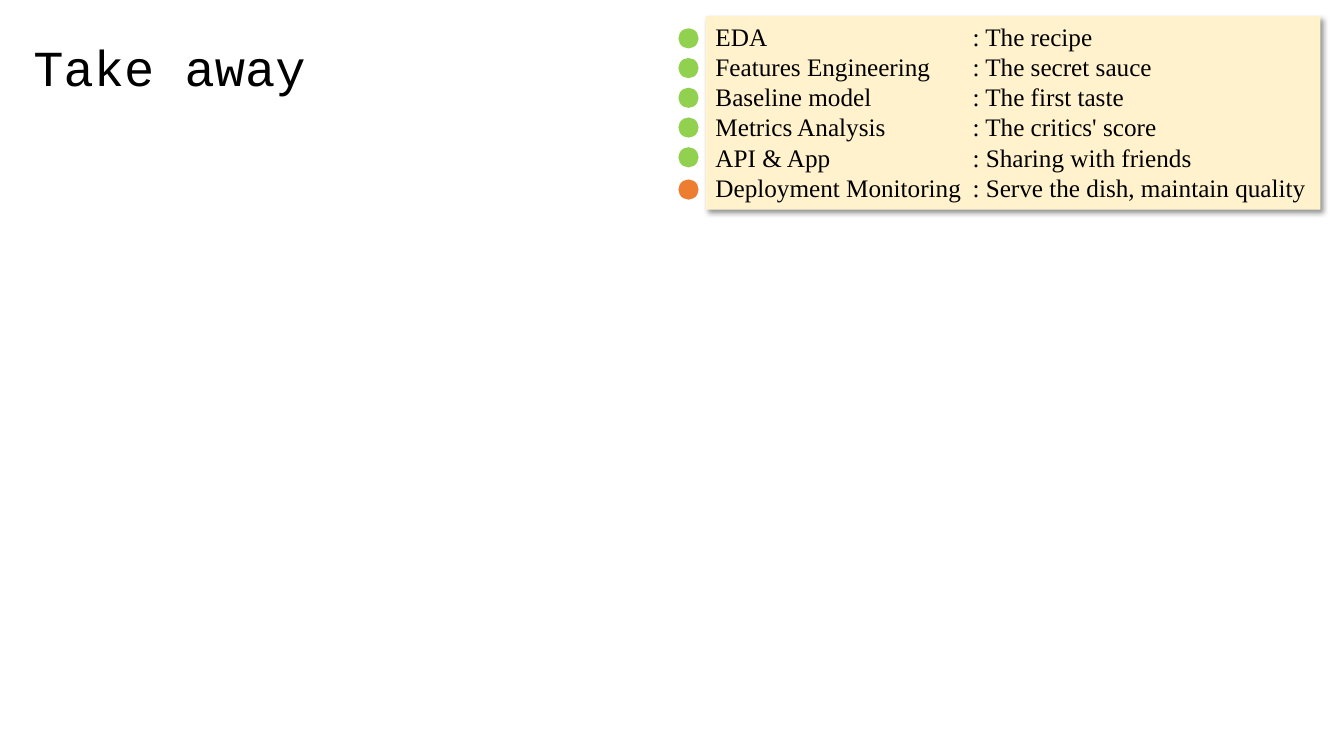
from lxml import etree
from pptx import Presentation
from pptx.dml.color import RGBColor
from pptx.enum.shapes import MSO_SHAPE
from pptx.enum.text import MSO_ANCHOR, MSO_AUTO_SIZE, PP_ALIGN
from pptx.oxml.ns import qn
from pptx.util import Pt

RECT, OVAL = MSO_SHAPE.RECTANGLE, MSO_SHAPE.OVAL
LEFT, TOP, MIDDLE = PP_ALIGN.LEFT, MSO_ANCHOR.TOP, MSO_ANCHOR.MIDDLE
FIT_SHAPE, NO_FIT = MSO_AUTO_SIZE.SHAPE_TO_FIT_TEXT, MSO_AUTO_SIZE.NONE

BLACK = RGBColor(0x00, 0x00, 0x00)
CREAM = RGBColor(0xFF, 0xF2, 0xCC)
GREEN = RGBColor(0x92, 0xD0, 0x50)
ORANGE = RGBColor(0xED, 0x7D, 0x31)

TITLE = "Take away"
STEPS = [
    ("EDA", "The recipe", GREEN),
    ("Features Engineering", "The secret sauce", GREEN),
    ("Baseline model", "The first taste", GREEN),
    ("Metrics Analysis", "The critics' score", GREEN),
    ("API & App", "Sharing with friends", GREEN),
    ("Deployment Monitoring", "Serve the dish, maintain quality", ORANGE),
]

TITLE_BOX = (16.6, 10.8, 926.6, 78.5)
PANEL_BOX = (504, 11.5, 439.2, 138.2)
TAB_STOP = 183.6
DOT_LEFT, DOT_TOP, DOT_SIZE, DOT_PITCH = 484.6, 20.2, 14.4, 21.24
LAST_DOT_DROP = 1.8

TITLE_FONT = {"name": "Courier New", "size": Pt(36), "bold": False}
STEP_FONT = {"name": "Times New Roman", "size": Pt(18)}
TITLE_FRAME = {"auto_size": NO_FIT, "vertical_anchor": MIDDLE, "word_wrap": True}
PANEL_FRAME = {"auto_size": FIT_SHAPE, "vertical_anchor": TOP, "word_wrap": True}


def apply(target, values):
    for name, value in values.items():
        setattr(target, name, value)


def add_run(p, text, font):
    p.alignment = LEFT
    r = p.add_run()
    r.text = text
    apply(r.font, font)
    r.font.color.rgb = BLACK


def add_shape(shapes, kind, box, color):
    sp = shapes.add_shape(kind, *map(Pt, box))
    sp.shadow.inherit = False
    sp.fill.solid()
    sp.fill.fore_color.rgb = color
    sp.line.fill.background()
    return sp


def add_shadow(sp):
    effects = sp.element.spPr.find(qn("a:effectLst"))
    shadow = etree.SubElement(effects, qn("a:outerShdw"), blurRad=str(Pt(4)),
                              dist=str(Pt(3)), dir="2700000", algn="tl", rotWithShape="0")
    color = etree.SubElement(shadow, qn("a:srgbClr"), val=str(BLACK))
    etree.SubElement(color, qn("a:alpha"), val="40000")


def add_tab(p):
    tabs = etree.SubElement(p._p.get_or_add_pPr(), qn("a:tabLst"))
    etree.SubElement(tabs, qn("a:tab"), pos=str(Pt(TAB_STOP)), algn="l")


prs = Presentation()
prs.slide_width, prs.slide_height = Pt(960), Pt(540)
slide = prs.slides.add_slide(prs.slide_layouts[5])

title = slide.shapes.title
apply(title, dict(zip(("left", "top", "width", "height"), map(Pt, TITLE_BOX))))
apply(title.text_frame, TITLE_FRAME)
p = title.text_frame.paragraphs[0]
p.line_spacing = 0.9
add_run(p, TITLE, TITLE_FONT)

group = slide.shapes.add_group_shape()
panel = add_shape(group.shapes, RECT, PANEL_BOX, CREAM)
add_shadow(panel)
tf = panel.text_frame
apply(tf, PANEL_FRAME)

for i, (step, meaning, color) in enumerate(STEPS):
    p = tf.add_paragraph() if i else tf.paragraphs[0]
    add_run(p, f"{step}\t: {meaning}", STEP_FONT)
    add_tab(p)
    drop = LAST_DOT_DROP if i == len(STEPS) - 1 else 0
    top = DOT_TOP + i * DOT_PITCH + drop
    add_shape(group.shapes, OVAL, (DOT_LEFT, top, DOT_SIZE, DOT_SIZE), color)

prs.save("out.pptx")
